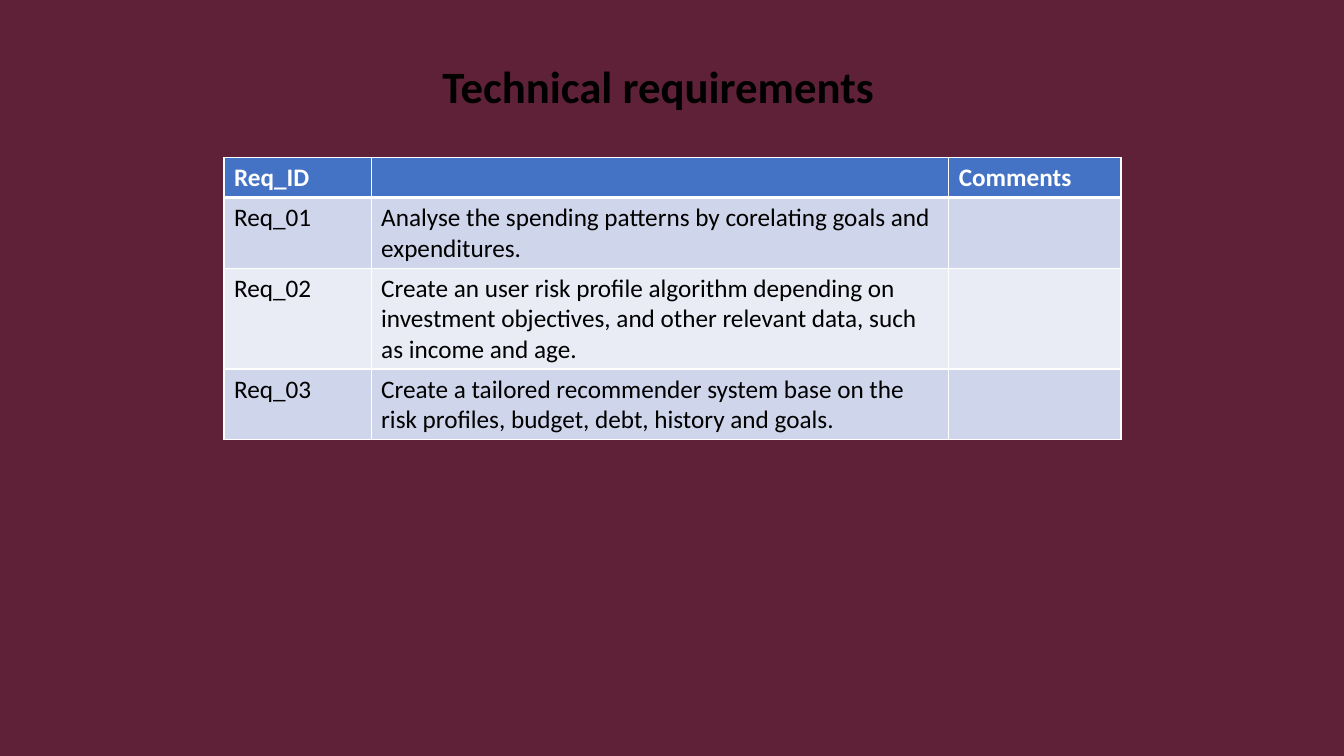
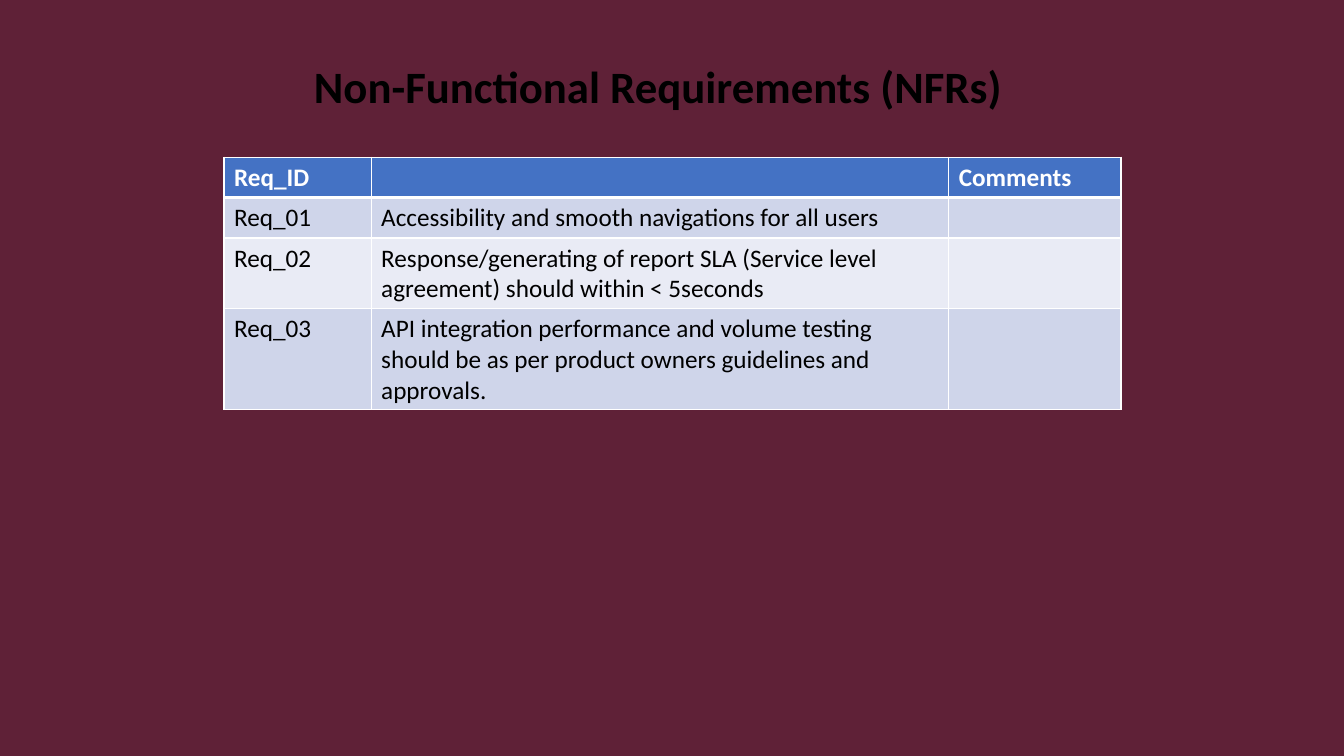
from dataclasses import dataclass

from lxml.etree import SubElement
from pptx import Presentation
from pptx.dml.color import RGBColor
from pptx.enum.text import MSO_AUTO_SIZE, PP_ALIGN
from pptx.oxml.ns import qn
from pptx.util import Inches, Pt


@dataclass(frozen=True)
class Theme:
    background: str = "5F2137"
    header: str = "4472C4"
    bands: tuple = ("CFD5EA", "E9EBF5")
    light: str = "FFFFFF"
    dark: str = "000000"
    font: str = "Calibri"
    title_size: int = 32
    table_size: int = 18
    rule: int = 1
    header_rule: int = 3


THEME = Theme()
WIDTH, HEIGHT = Inches(13.333), Inches(7.5)
COLUMNS = [Inches(width) for width in (1.46, 5.73, 1.71)]
ONE_LINE_ROW, EXTRA_LINE = Inches(0.4), Inches(0.3)
HEADINGS = ("Req_ID", "", "Comments")

# Each requirement: its text and the number of lines it takes
SLIDES = {
    "Technical requirements": [
        ("Analyse the spending patterns by corelating goals and expenditures.", 2),
        ("Create an user risk profile algorithm depending on investment objectives, "
         "and other relevant data, such as income and age.", 3),
        ("Create a tailored recommender system base on the risk profiles, budget, "
         "debt, history and goals.", 2),
    ],
    "Non-Functional Requirements (NFRs)": [
        ("Accessibility and smooth navigations for all users", 1),
        ("Response/generating of report SLA (Service level agreement) should "
         "within < 5seconds", 2),
        ("API integration performance and volume testing should be as per product "
         "owners guidelines and approvals.", 3),
    ],
}


def style_text(paragraph, size, color, bold):
    font = paragraph.font
    font.name, font.size, font.bold = THEME.font, Pt(size), bold
    font.color.rgb = RGBColor.from_string(color)


def add_borders(cell, top, bottom):
    """Rule all four sides; call before filling, as borders come first in the XML."""
    properties = cell._tc.get_or_add_tcPr()
    widths = {"a:lnL": THEME.rule, "a:lnR": THEME.rule, "a:lnT": top, "a:lnB": bottom}
    for tag, width in widths.items():
        line = SubElement(properties, qn(tag), w=str(Pt(width)))
        fill = SubElement(line, qn("a:solidFill"))
        SubElement(fill, qn("a:srgbClr"), val=THEME.light)


presentation = Presentation()
presentation.slide_width, presentation.slide_height = WIDTH, HEIGHT
master_fill = presentation.slide_master.background.fill
master_fill.solid()
master_fill.fore_color.rgb = RGBColor.from_string(THEME.background)
blank_layout = presentation.slide_layouts[6]

for title, requirements in SLIDES.items():
    slide = presentation.slides.add_slide(blank_layout)

    title_box = slide.shapes.add_textbox(
        Inches(1.12), Inches(0.53), Inches(10.82), Inches(0.64))
    frame = title_box.text_frame
    frame.word_wrap = True
    frame.auto_size = MSO_AUTO_SIZE.SHAPE_TO_FIT_TEXT
    paragraph = frame.paragraphs[0]
    paragraph.text = title
    paragraph.alignment = PP_ALIGN.CENTER
    style_text(paragraph, THEME.title_size, THEME.dark, True)

    rows = [HEADINGS] + [
        (f"Req_{number:02}", text, "")
        for number, (text, _) in enumerate(requirements, start=1)]
    line_counts = [1] + [lines for _, lines in requirements]
    heights = [ONE_LINE_ROW + EXTRA_LINE * (lines - 1) for lines in line_counts]

    table = slide.shapes.add_table(
        len(rows), len(COLUMNS), WIDTH // 6, Inches(1.56),
        sum(COLUMNS), sum(heights)).table
    for column, width in zip(table.columns, COLUMNS):
        column.width = width

    for index, (texts, height) in enumerate(zip(rows, heights)):
        is_header = index == 0
        table.rows[index].height = height
        fill_color = THEME.header if is_header else THEME.bands[(index - 1) % 2]
        text_color = THEME.light if is_header else THEME.dark
        top = THEME.header_rule if index == 1 else THEME.rule
        bottom = THEME.header_rule if is_header else THEME.rule
        for cell, text in zip(table.rows[index].cells, texts):
            add_borders(cell, top, bottom)
            cell.fill.solid()
            cell.fill.fore_color.rgb = RGBColor.from_string(fill_color)
            paragraph = cell.text_frame.paragraphs[0]
            paragraph.text = text
            style_text(paragraph, THEME.table_size, text_color, is_header)

presentation.save("out.pptx")
